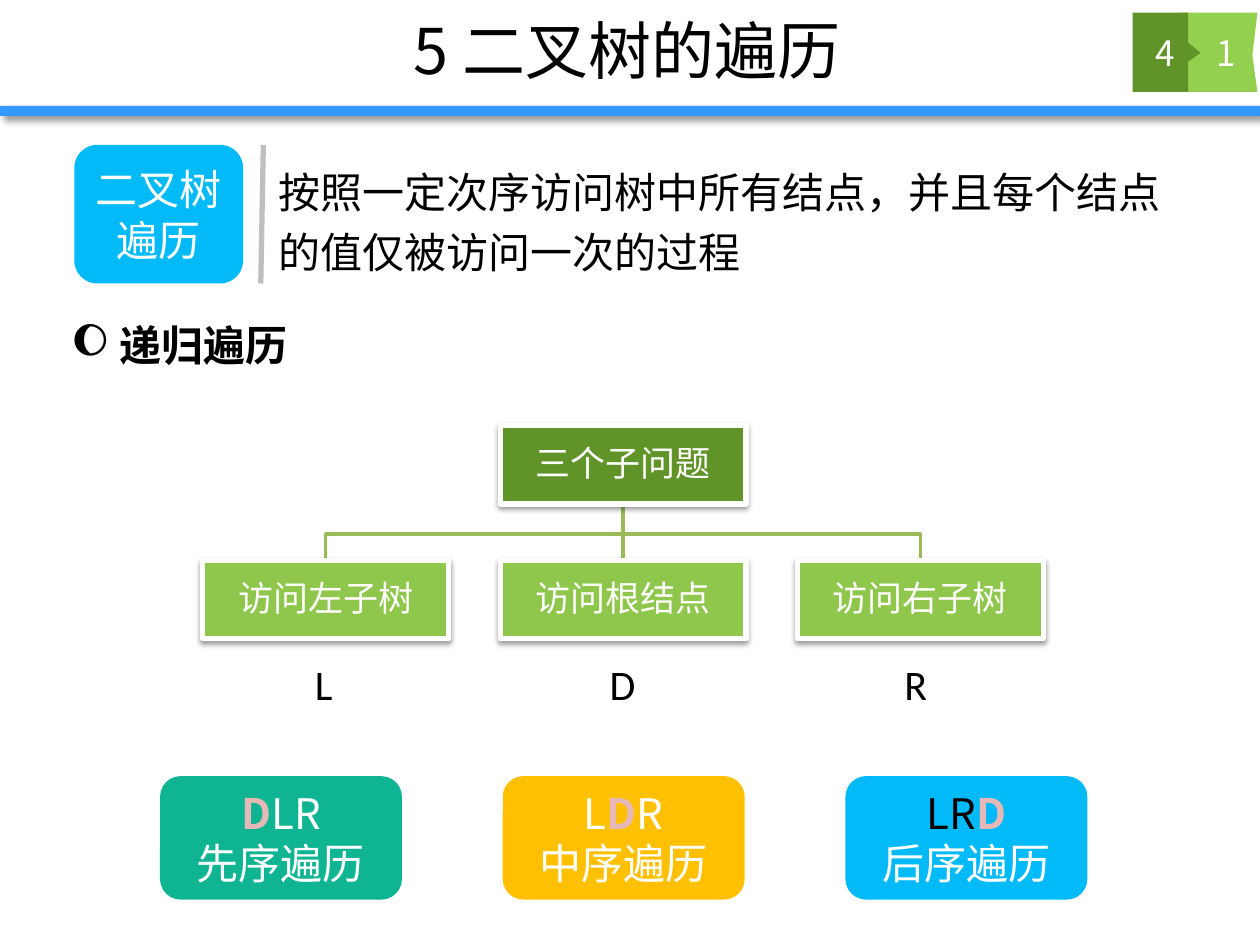
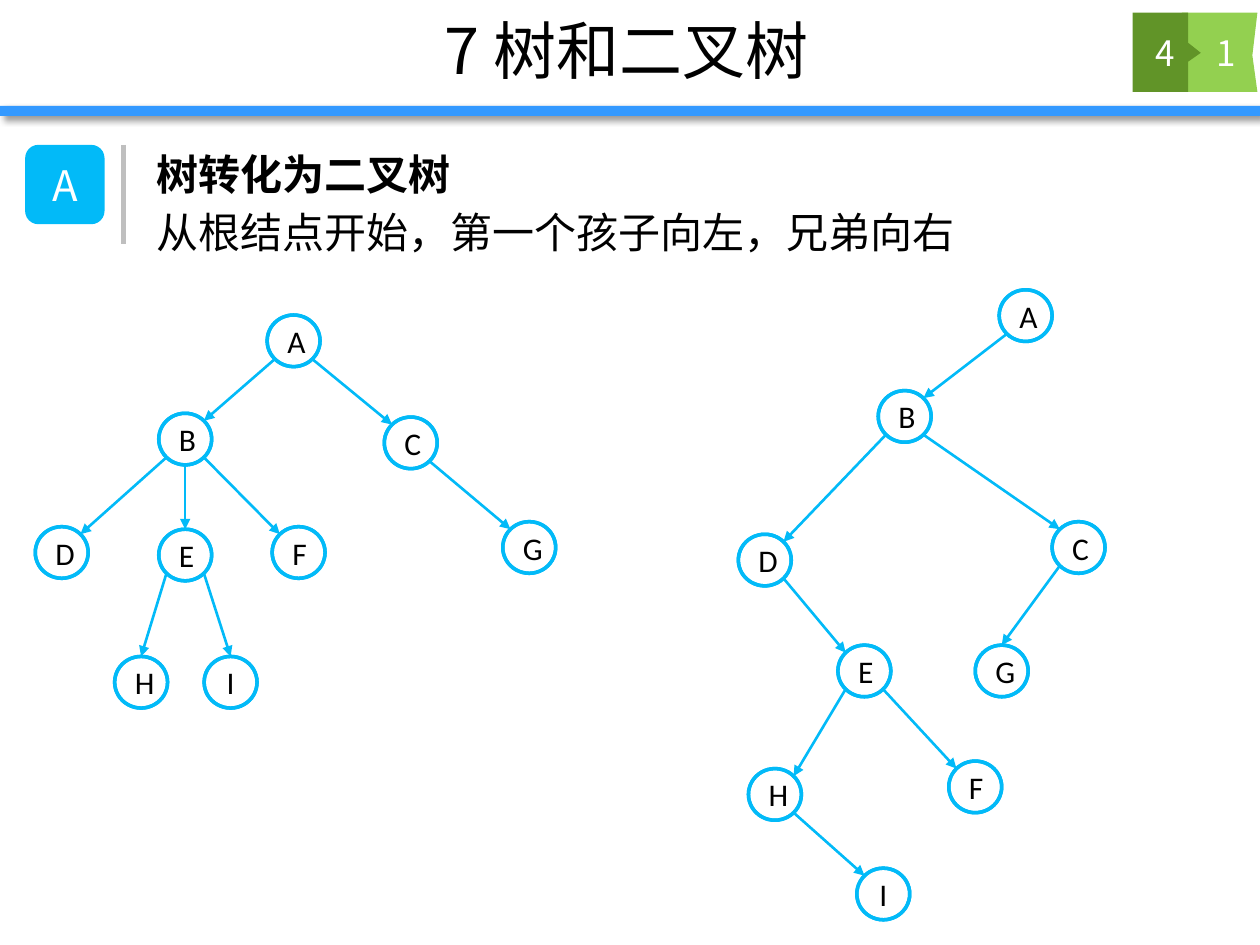
from math import sqrt

from pptx import Presentation
from pptx.dml.color import RGBColor
from pptx.enum.shapes import MSO_CONNECTOR, MSO_SHAPE
from pptx.enum.text import MSO_ANCHOR, PP_ALIGN
from pptx.oxml.ns import qn
from pptx.util import Inches, Pt
from lxml import etree

RECT, ROUND, DONUT = MSO_SHAPE.RECTANGLE, MSO_SHAPE.ROUNDED_RECTANGLE, MSO_SHAPE.DONUT
STRAIGHT = MSO_CONNECTOR.STRAIGHT
LEFT, CENTER = PP_ALIGN.LEFT, PP_ALIGN.CENTER
TOP, MIDDLE = MSO_ANCHOR.TOP, MSO_ANCHOR.MIDDLE

BLACK = RGBColor(0x00, 0x00, 0x00)
WHITE = RGBColor(0xFF, 0xFF, 0xFF)
BAND_BLUE = RGBColor(0x33, 0x99, 0xFF)
SKY = RGBColor(0x02, 0xBA, 0xF8)
TEAL = RGBColor(0x0F, 0xB4, 0x93)
AMBER = RGBColor(0xFF, 0xC0, 0x01)
DARK_GREEN = RGBColor(0x61, 0x94, 0x28)
LIME = RGBColor(0x93, 0xD0, 0x50)
CARD_GREEN = RGBColor(0x8F, 0xC7, 0x4D)
BRANCH_GREEN = RGBColor(0x9B, 0xBB, 0x59)
GREY = RGBColor(0xBF, 0xBF, 0xBF)
PINK = RGBColor(0xE6, 0xB9, 0xB8)
BRICK = RGBColor(0xC0, 0x50, 0x4D)

CJK, LATIN = "Noto Sans CJK SC", "Calibri"
COLUMNS, ROWS = 100, 75
WIDTH, HEIGHT = Inches(10), Inches(7.5)
NODE_WIDTH, NODE_HEIGHT = 4.2, 4.1
ROOT_MARK = {"color": PINK, "bold": True, "outline": BRICK}


def col(count):
    return round(WIDTH * count / COLUMNS)


def row(count):
    return round(HEIGHT * count / ROWS)


def child(parent, tag, **attributes):
    element = etree.SubElement(parent, qn(tag))
    for name, value in attributes.items():
        element.set(name, str(value))
    return element


def format_span(span, size, color, font, bold=False, outline=None):
    span.font.size = Pt(size)
    span.font.bold = bold
    span.font.color.rgb = color
    span.font.name = font
    properties = span.font._element
    child(properties, "a:ea", typeface=font)
    if outline is not None:
        line = child(properties, "a:ln", w=Pt(1.75))
        child(child(line, "a:solidFill"), "a:srgbClr", val=outline)
        properties.insert(0, line)


def write(frame, text, size=24, color=BLACK, font=CJK, bold=False, align=LEFT,
          anchor=TOP, spacing=None, bullet=None, inset=None):
    frame.word_wrap = True
    frame.vertical_anchor = anchor
    if inset is not None:
        frame.margin_left = frame.margin_right = col(inset)
        frame.margin_top = frame.margin_bottom = row(inset)
    paragraphs = [[(text, {})]] if isinstance(text, str) else text
    for index, spans in enumerate(paragraphs):
        para = frame.paragraphs[0] if index == 0 else frame.add_paragraph()
        if bullet:
            properties = para._p.get_or_add_pPr()
            properties.set("marL", str(col(3.8)))
            properties.set("indent", str(-col(3.8)))
            child(properties, "a:buSzPct", val=86000)
            child(properties, "a:buChar", char=bullet)
        para.alignment = align
        if spacing:
            para.line_spacing = spacing
        for words, changes in spans:
            span = para.add_run()
            span.text = words
            format_span(span, **{"size": size, "color": color, "font": font,
                                 "bold": bold, **changes})


class Canvas:
    def __init__(self, deck):
        self.deck = deck
        self.page = None

    def new_page(self, title):
        self.page = self.deck.slides.add_slide(self.deck.slide_layouts[5])
        self.shape(RECT, 0, 8.4, 100, 0.8, BAND_BLUE, shadow=(40, 4, 3, 45))
        self.outline([(93.8, 1), (99.8, 1), (99.4, 4.4), (99.8, 7.3), (93.8, 7.3)], fill=LIME)
        self.outline([(89.9, 1), (94.3, 1), (94.3, 3.4), (95.3, 4.2), (94.3, 4.9),
                      (94.3, 7.3), (89.9, 7.3)], fill=DARK_GREEN)
        heading = self.page.shapes.title
        heading.left, heading.top, heading.width, heading.height = (
            col(9.8), row(0.1), col(79.9), row(7.7))
        write(heading.text_frame, title, size=36, align=CENTER, anchor=MIDDLE)
        for left, number in ((94.2, "1"), (89.4, "4")):
            self.label(left, 1, 6.2, 6.3, number, size=20, color=WHITE,
                       align=CENTER, anchor=MIDDLE)

    def shape(self, kind, left, top, width, height, fill, line=None, weight=0,
              shadow=None, text=None, **style):
        box = self.page.shapes.add_shape(kind, col(left), row(top), col(width), row(height))
        self.paint(box, fill, line, weight)
        if shadow:
            self.cast_shadow(box, *shadow)
        if text:
            write(box.text_frame, text, **{"color": WHITE, "align": CENTER,
                                           "anchor": MIDDLE, **style})
        return box

    def paint(self, box, fill, line, weight):
        box.shadow.inherit = False
        if fill is None:
            box.fill.background()
        else:
            box.fill.solid()
            box.fill.fore_color.rgb = fill
        if line is None:
            box.line.fill.background()
        else:
            box.line.color.rgb = line
            box.line.width = Pt(weight)

    def cast_shadow(self, box, alpha, blur, distance, angle):
        effects = box._element.spPr.find(qn("a:effectLst"))
        outer = child(effects, "a:outerShdw", blurRad=Pt(blur), dist=Pt(distance),
                      dir=angle * 60000, rotWithShape=0)
        child(child(outer, "a:srgbClr", val=BLACK), "a:alpha", val=alpha * 1000)

    def outline(self, points, fill=None, line=None, weight=0):
        corners = [(col(x), row(y)) for x, y in points]
        builder = self.page.shapes.build_freeform(*corners[0], scale=1.0)
        builder.add_line_segments(corners[1:], close=fill is not None)
        self.paint(builder.convert_to_shape(), fill, line, weight)

    def label(self, left, top, width, height, text, **style):
        box = self.page.shapes.add_textbox(col(left), row(top), col(width), row(height))
        write(box.text_frame, text, **style)

    def line(self, start, end, color, weight, arrow=False):
        link = self.page.shapes.add_connector(
            STRAIGHT, col(start[0]), row(start[1]), col(end[0]), row(end[1]))
        link.line.color.rgb = color
        link.line.width = Pt(weight)
        if arrow:
            child(link.line._get_or_add_ln(), "a:tailEnd", type="triangle")
        child(link._element.spPr, "a:effectLst")
        return link

    def card(self, left, top, fill, text):
        return self.shape(RECT, left, top, 19.5, 6.2, fill, WHITE, 3,
                          shadow=(38, 3.1, 1.6, 90), text=text, size=20,
                          spacing=0.9, inset=0.1)

    def tree(self, nodes, edges):
        for name, (left, top) in nodes.items():
            node = self.shape(DONUT, left, top, NODE_WIDTH, NODE_HEIGHT, DARK_GREEN,
                              SKY, 2, text=name, size=18, color=BLACK, font=LATIN)
            node.adjustments[0] = 0
        for parent, leaf in edges:
            self.edge(nodes[parent], nodes[leaf])

    def edge(self, parent, leaf):
        shift = leaf[0] - parent[0]
        side = (shift > 0) - (shift < 0)
        enters_top = abs(shift) < 6.5
        self.line(rim(parent, side, 1), rim(leaf, 0 if enters_top else -side, -1),
                  SKY, 1.5, arrow=True)


def rim(node, side, level):
    reach = 1 / sqrt(2) if side else 1
    return (node[0] + NODE_WIDTH / 2 * (1 + side * reach),
            node[1] + NODE_HEIGHT / 2 * (1 + level * reach))


def traversal_page(canvas):
    canvas.new_page("5 二叉树的遍历")

    card_left, card_step, half = 16.1, 23.6, 9.75
    root_left = card_left + card_step
    root_middle = root_left + half
    for side in (1, -1):
        end = root_middle + side * card_step
        canvas.outline([(root_middle, 40), (root_middle, 42.4), (end, 42.4), (end, 44.5)],
                       line=BRANCH_GREEN, weight=2)
    stem = canvas.line((root_middle, 40), (root_middle, 44.5), BRANCH_GREEN, 2)
    problem = canvas.card(root_left, 33.8, DARK_GREEN, "三个子问题")
    steps = [("访问左子树", "L"), ("访问根结点", "D"), ("访问右子树", "R")]
    cards = []
    for index, (step, letter) in enumerate(steps):
        cards.append(canvas.card(card_left + index * card_step, 44.5, CARD_GREEN, step))
        canvas.label(24 + index * 23.4, 51.8, 4.2, 5, letter, font=LATIN)
    stem.begin_connect(problem, 2)
    stem.end_connect(cards[1], 0)

    canvas.shape(ROUND, 5.9, 11.5, 13.4, 11, SKY, text="二叉树遍历")
    canvas.line((20.9, 11.5), (20.7, 22.5), GREY, 3)
    canvas.label(21.1, 11.9, 72.6, 10.7,
                 "按照一定次序访问树中所有结点，并且每个结点的值仅被访问一次的过程", spacing=1.2)
    canvas.label(4.7, 24.1, 50.8, 5.4, "递归遍历", bold=True, spacing=1.2, bullet="🌔")

    orders = [
        (TEAL, [("D", ROOT_MARK), ("LR", {})], "先序遍历"),
        (AMBER, [("L", {}), ("D", ROOT_MARK), ("R", {})], "中序遍历"),
        (SKY, [("LR", {"color": BLACK}), ("D", ROOT_MARK)], "后序遍历"),
    ]
    for index, (fill, letters, name) in enumerate(orders):
        canvas.shape(ROUND, 12.7 + index * 27.2, 61.6, 19.2, 9.8, fill,
                     text=[letters, [(name, {})]])


def conversion_page(canvas):
    canvas.new_page("7 树和二叉树")
    canvas.shape(ROUND, 2, 11.5, 6.3, 6.3, SKY, text="A")
    canvas.line((9.8, 11.5), (9.8, 19.4), GREY, 3)
    canvas.label(11.4, 10.5, 88.2, 5.9, "树转化为二叉树", bold=True, spacing=1.2)
    canvas.label(11.4, 15.1, 88.2, 5.4, "从根结点开始，第一个孩子向左，兄弟向右", spacing=1.2)

    general_tree = {
        "A": (21.2, 25), "B": (12.6, 32.8), "C": (30.5, 33.1),
        "D": (2.8, 41.8), "E": (12.6, 42), "F": (21.6, 41.8),
        "G": (39.9, 41.4), "H": (9.1, 52.1), "I": (16.2, 52.1),
    }
    binary_tree = {
        "A": (79.3, 23), "B": (69.7, 31), "C": (83.5, 41.4),
        "D": (58.6, 42.4), "E": (66.5, 51.2), "F": (75.3, 60.4),
        "G": (77.4, 51.2), "H": (59.4, 61), "I": (68, 68.9),
    }
    canvas.tree(general_tree, ["AB", "AC", "BD", "BE", "BF", "CG", "EH", "EI"])
    canvas.tree(binary_tree, ["AB", "BD", "BC", "DE", "CG", "EH", "EF", "HI"])


def main():
    deck = Presentation()
    deck.slide_width, deck.slide_height = WIDTH, HEIGHT
    canvas = Canvas(deck)
    traversal_page(canvas)
    conversion_page(canvas)
    deck.save("out.pptx")


if __name__ == "__main__":
    main()
